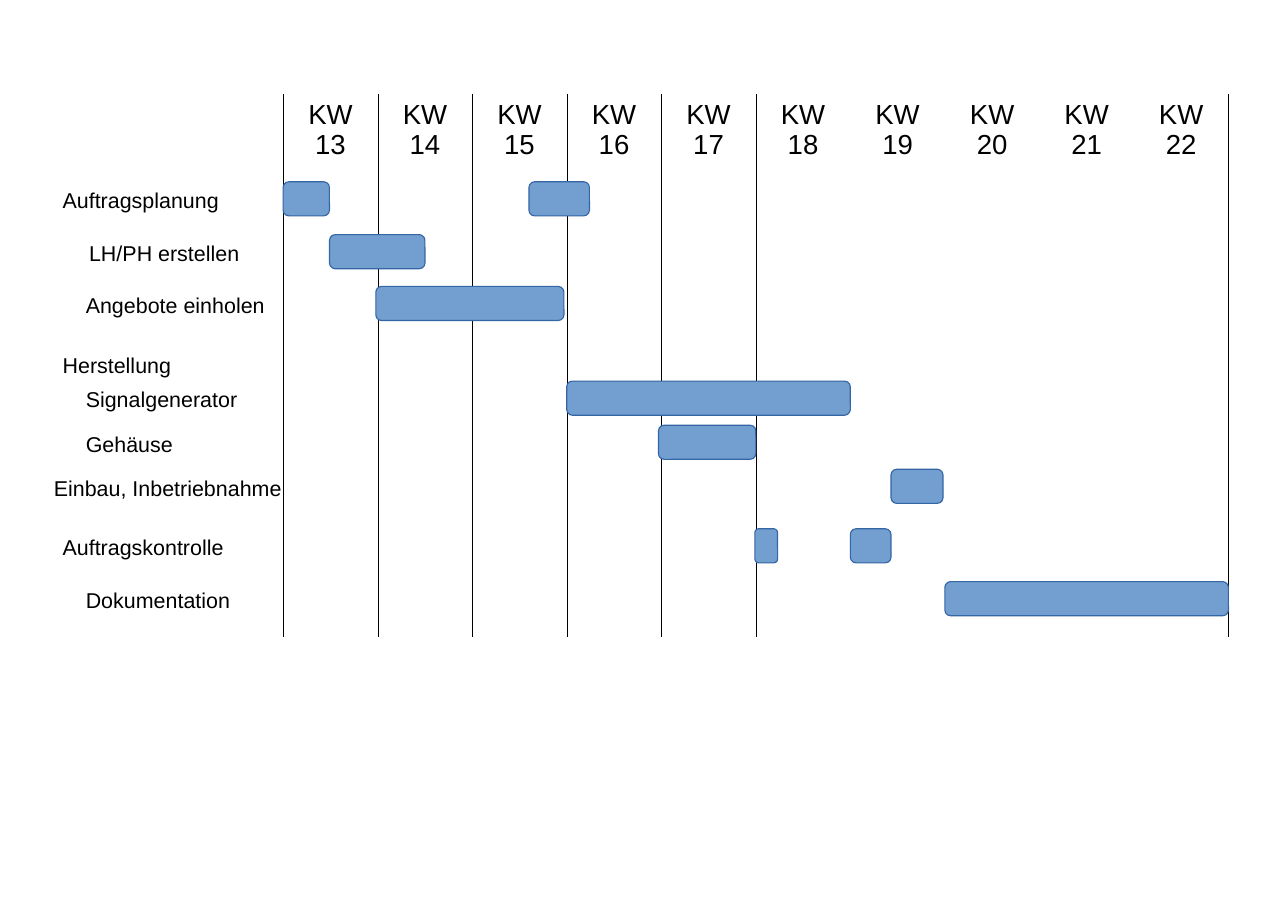
from lxml import etree
from pptx import Presentation, util as u
from pptx.dml.color import RGBColor
from pptx.enum import shapes, text
from pptx.oxml.ns import qn

BLACK = RGBColor(0x00, 0x00, 0x00)
WHITE = RGBColor(0xFF, 0xFF, 0xFF)
BAR_FILL = RGBColor(0x72, 0x9F, 0xCF)
BAR_LINE = RGBColor(0x34, 0x65, 0xA4)
FONT = "Arial"

WEEKS = range(13, 23)
RULED_EDGES = {0, 1, 2, 3, 4, 5, len(WEEKS)}
BAR_HEIGHT = 0.31

# Task, label indent, top below the chart's top, bars as (start, length) in weeks
TASKS = [
    ("Auftragsplanung", 0.08, 0.80, [(0, 0.49), (2.6, 0.64)]),
    ("LH/PH erstellen", 0.32, 1.28, [(0.49, 1.01)]),
    ("Angebote einholen", 0.29, 1.75, [(0.98, 1.99)]),
    ("Herstellung", 0.08, 2.30, []),
    ("Signalgenerator", 0.29, 2.61, [(3, 3)]),
    ("Gehäuse", 0.29, 3.01, [(3.97, 1.03)]),
    ("Einbau, Inbetriebnahme", 0, 3.41, [(6.43, 0.55)]),
    ("Auftragskontrolle", 0.08, 3.95, [(4.99, 0.24), (6, 0.43)]),
    ("Dokumentation", 0.29, 4.43, [(7, 3)]),
]


def add_span(para, words, size):
    span = para.add_run()
    span.text = words
    span.font.name = FONT
    span.font.size = u.Pt(size)
    span.font.color.rgb = BLACK


def set_borders(cell, colors):
    """Put thin borders, in schema order, ahead of the cell's fill."""
    props = cell._tc.get_or_add_tcPr()
    for index, (side, color) in enumerate(colors.items()):
        line = etree.Element(qn(f"a:ln{side}"), w=str(u.Pt(0.06)))
        fill = etree.SubElement(line, qn("a:solidFill"))
        etree.SubElement(fill, qn("a:srgbClr"), val=str(color))
        props.insert(index, line)


def add_week_grid(page, left, top, width, height):
    frame = page.shapes.add_table(1, len(WEEKS), u.Inches(left), u.Inches(top),
                                  u.Inches(width), u.Inches(height))
    table = frame.table
    table.first_row = table.horz_banding = False

    def edge_color(edge):
        return BLACK if edge in RULED_EDGES else WHITE

    for index, week in enumerate(WEEKS):
        table.columns[index].width = u.Inches(width / len(WEEKS))
        cell = table.cell(0, index)
        cell.fill.solid()
        cell.fill.fore_color.rgb = WHITE
        set_borders(cell, {"L": edge_color(index), "R": edge_color(index + 1),
                           "T": WHITE, "B": WHITE})
        para = cell.text_frame.paragraphs[0]
        para.alignment = text.PP_ALIGN.CENTER
        add_span(para, f"KW {week}", 18)


def add_label(page, words, left, top, width):
    box = page.shapes.add_textbox(u.Inches(left), u.Inches(top),
                                  u.Inches(width), u.Inches(0.32))
    box.text_frame.word_wrap = True
    box.text_frame.auto_size = text.MSO_AUTO_SIZE.SHAPE_TO_FIT_TEXT
    add_span(box.text_frame.paragraphs[0], words, 14)


def add_bar(page, left, top, width):
    bar = page.shapes.add_shape(shapes.MSO_SHAPE.ROUNDED_RECTANGLE,
                                u.Inches(left), u.Inches(top),
                                u.Inches(width), u.Inches(BAR_HEIGHT))
    bar.shadow.inherit = False
    bar.fill.solid()
    bar.fill.fore_color.rgb = BAR_FILL
    bar.line.color.rgb = BAR_LINE
    bar.line.width = u.Pt(0)


def add_gantt(page, left, top, width, height, label_width):
    # Week columns fill the space right of the labels
    grid_left = left + label_width
    grid_width = width - label_width
    week_width = grid_width / len(WEEKS)
    add_week_grid(page, grid_left, top, grid_width, height)

    # Task labels and their bars
    for name, indent, offset, bars in TASKS:
        add_label(page, name, left + indent, top + offset, 2.44 - indent)
        for start, length in bars:
            add_bar(page, grid_left + start * week_width, top + offset,
                    length * week_width)


def main():
    deck = Presentation()
    deck.slide_width = u.Inches(11.69)
    deck.slide_height = u.Inches(8.27)
    page = deck.slides.add_slide(deck.slide_layouts[6])
    add_gantt(page, left=0.39, top=0.85, width=10.76, height=4.93,
              label_width=2.18)
    deck.save("out.pptx")


if __name__ == "__main__":
    main()
